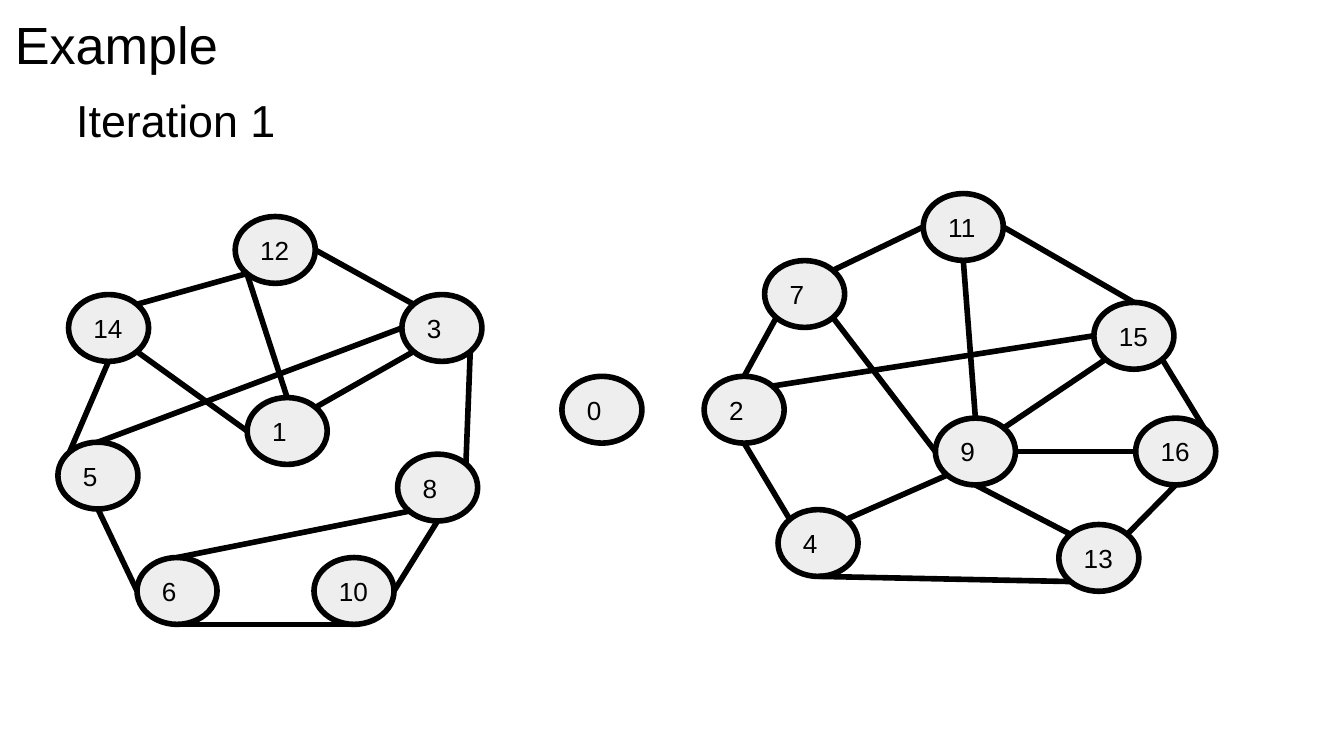
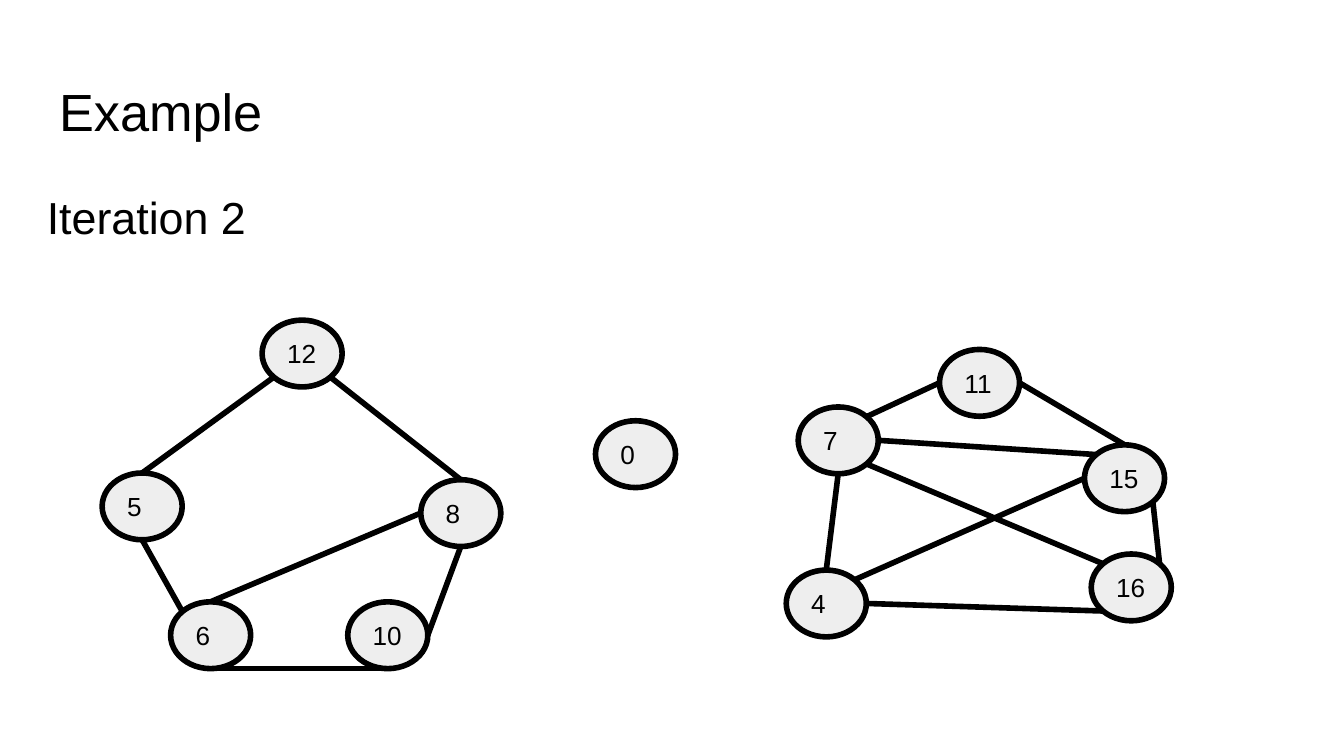
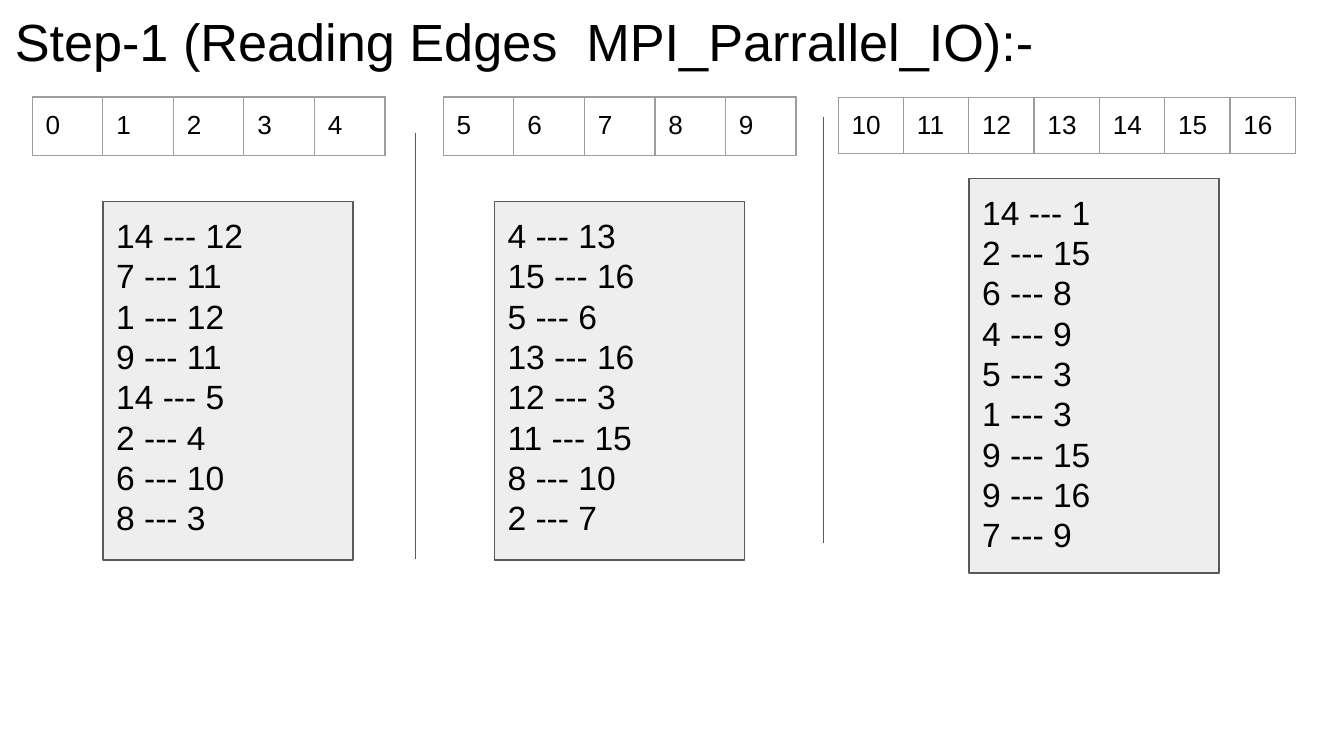
from dataclasses import dataclass
from math import sqrt

from lxml import etree
from pptx import Presentation
from pptx.dml.color import RGBColor
from pptx.enum.shapes import MSO_CONNECTOR, MSO_SHAPE
from pptx.enum.text import MSO_ANCHOR as Anchor, MSO_AUTO_SIZE, PP_ALIGN
from pptx.oxml.ns import qn
from pptx.util import Pt


@dataclass(frozen=True)
class Theme:
    font: str = "Arial"
    ink: RGBColor = RGBColor(0, 0, 0)
    panel: RGBColor = RGBColor(0xEE, 0xEE, 0xEE)
    rule: RGBColor = RGBColor(0x59, 0x59, 0x59)
    grid: str = "9E9E9E"
    title: int = 28
    subtitle: int = 24
    edge_list: int = 18
    label: int = 14
    inset: float = 7.2
    thick: float = 3
    thin: float = 0.75


theme = Theme()
NODE_W, NODE_H = 42.9, 35.8
DIAGONAL = sqrt(0.5)
SITES = {  # where an edge meets a node, as fractions of its radii
    "T": (0, -1), "B": (0, 1), "L": (-1, 0), "R": (1, 0),
    "TL": (-DIAGONAL, -DIAGONAL), "TR": (DIAGONAL, -DIAGONAL),
    "BL": (-DIAGONAL, DIAGONAL), "BR": (DIAGONAL, DIAGONAL),
}


def write_lines(frame, lines, size, anchor=Anchor.TOP):
    frame.word_wrap = True
    frame.auto_size = MSO_AUTO_SIZE.NONE
    frame.vertical_anchor = anchor
    frame.margin_left = frame.margin_right = Pt(theme.inset)
    frame.margin_top = frame.margin_bottom = Pt(theme.inset)
    for number, line in enumerate(lines):
        paragraph = frame.add_paragraph() if number else frame.paragraphs[0]
        paragraph.alignment = PP_ALIGN.LEFT
        run = paragraph.add_run()
        run.text = line
        run.font.name = theme.font
        run.font.size = Pt(size)
        run.font.color.rgb = theme.ink


def draw_line(slide, start, end, color, width):
    line = slide.shapes.add_connector(
        MSO_CONNECTOR.STRAIGHT, *(Pt(value) for value in (*start, *end)))
    line.line.color.rgb = color
    line.line.width = Pt(width)
    etree.SubElement(line._element.spPr, qn("a:effectLst"))


prs = Presentation()
prs.slide_width, prs.slide_height = Pt(720), Pt(405)

# Slide titles: text, left, top, width, height
titles = [
    ("Example", 0.7, -0.7, 671, 45.4),
    ("Example", 24.5, 35.3, 671, 45.4),
    ("Step-1 (Reading Edges  MPI_Parrallel_IO):-", 0.7, -2.2, 681, 40.3),
]
slides = []
for text, *box in titles:
    slide = prs.slides.add_slide(prs.slide_layouts[5])
    title = slide.shapes.title
    title.left, title.top, title.width, title.height = (Pt(v) for v in box)
    write_lines(title.text_frame, [text], theme.title)
    slides.append(slide)

# Graph iterations: subtitle, its position, node positions, edges
iterations = [
    ("Iteration 1", (33.8, 38.2), {
        12: (126, 116), 14: (36.7, 157.8), 3: (215.3, 157.8),
        1: (132.4, 213), 8: (213, 243.3), 5: (31, 236.9),
        6: (73.4, 298.7), 10: (168.2, 298.7), 0: (301, 201.6),
        11: (494.6, 103.7), 7: (409.6, 139.6), 15: (586, 162),
        2: (377.2, 201.6), 4: (416.8, 273), 16: (608.4, 224),
        9: (501.1, 224), 13: (567.2, 281),
    }, [
        "12 BL 14 TR", "12 BL 1 T", "3 BR 8 TR", "8 B 10 R", "10 B 6 B",
        "6 L 5 B", "14 BR 1 L", "1 TR 3 BL", "3 L 5 T", "8 BL 6 T",
        "11 L 7 TR", "11 R 15 T", "15 BR 16 TR", "16 B 13 TR", "2 B 4 TL",
        "7 BL 2 T", "2 TR 15 L", "9 BL 4 TR", "9 B 13 TL", "4 B 13 BL",
        "9 R 16 L", "11 B 9 T", "15 BL 9 TR", "9 L 7 BR", "5 TL 14 B",
        "3 TL 12 R",
    ]),
    ("Iteration 2", (18, 90), {
        8: (225.4, 257), 5: (54.7, 253.4), 6: (91.4, 322.4),
        10: (186.3, 322.4), 0: (319, 225.4), 11: (503.3, 187.2),
        7: (427.6, 218), 15: (581, 238.3), 4: (421.2, 305.4),
        16: (584.6, 296.8), 12: (140.4, 171.5),
    }, [
        "8 B 10 R", "10 B 6 B", "6 TL 5 B", "8 L 6 T", "11 L 7 TR",
        "11 R 15 T", "15 BR 16 TR", "8 T 12 BR", "5 T 12 BL", "4 TR 15 L",
        "7 BR 16 TL", "4 T 7 B", "4 R 16 BL", "7 R 15 TL",
    ]),
]
for slide, (subtitle, (left, top), nodes, edges) in zip(slides, iterations):
    heading = slide.shapes.add_textbox(Pt(left), Pt(top), Pt(165.6), Pt(51.1))
    write_lines(heading.text_frame, [subtitle], theme.subtitle)
    heading.text_frame.paragraphs[0].line_spacing = 1.15
    heading.text_frame.paragraphs[0].space_after = Pt(16)

    for vertex, (x, y) in nodes.items():
        node = slide.shapes.add_shape(
            MSO_SHAPE.OVAL, Pt(x), Pt(y), Pt(NODE_W), Pt(NODE_H))
        node.shadow.inherit = False
        node.fill.solid()
        node.fill.fore_color.rgb = theme.panel
        node.line.color.rgb = theme.ink
        node.line.width = Pt(theme.thick)
        write_lines(node.text_frame, [str(vertex)], theme.label, Anchor.MIDDLE)

    for edge in edges:
        source, source_site, target, target_site = edge.split()
        ends = []
        for vertex, site in ((source, source_site), (target, target_site)):
            x, y = nodes[int(vertex)]
            dx, dy = SITES[site]
            ends.append((x + NODE_W / 2 * (1 + dx), y + NODE_H / 2 * (1 + dy)))
        draw_line(slide, *ends, theme.ink, theme.thick)

# Vertices and edges read by each process
reading = slides[2]
for x, y in ((222.7, 71.3), (441.2, 62.7)):
    draw_line(reading, (x, y), (x, y + 228.4), theme.rule, theme.thin)

# Vertices, table left, top, column width, row height, list box, edges
processes = [
    (range(0, 5), 17.3, 52, 37.8, 31.2, (55.1, 108, 134, 192),
     ["14 --- 12", "7 --- 11", "1 --- 12", "9 --- 11",
      "14 --- 5", "2 --- 4", "6 --- 10", "8 --- 3"]),
    (range(5, 10), 237.5, 52, 37.8, 31.2, (264.8, 108, 134, 192),
     ["4 --- 13", "15 --- 16", "5 --- 6", "13 --- 16",
      "12 --- 3", "11 --- 15", "8 --- 10", "2 --- 7"]),
    (range(10, 17), 449, 52.2, 35, 30.2, (519.1, 95.5, 134, 211.5),
     ["14 --- 1", "2 --- 15", "6 --- 8", "4 --- 9", "5 --- 3",
      "1 --- 3", "9 --- 15", "9 --- 16", "7 --- 9"]),
]
for vertices, left, top, col_width, row_height, box, edges in processes:
    count = len(vertices)
    table = reading.shapes.add_table(
        1, count, Pt(left), Pt(top), Pt(col_width * count), Pt(row_height)).table
    table.first_row = table.horz_banding = False
    for column, vertex in enumerate(vertices):
        table.columns[column].width = Pt(col_width)
        cell = table.cell(0, column)
        cell.margin_left = cell.margin_right = Pt(theme.inset)
        cell.margin_top = cell.margin_bottom = Pt(theme.inset)
        run = cell.text_frame.paragraphs[0].add_run()
        run.text = str(vertex)
        run.font.name = theme.font
        run.font.size = Pt(theme.label)
        run.font.color.rgb = theme.ink
        properties = cell._tc.get_or_add_tcPr()
        for side in ("lnL", "lnR", "lnT", "lnB"):
            border = etree.SubElement(
                properties, qn(f"a:{side}"), w=str(Pt(theme.thin)))
            fill = etree.SubElement(border, qn("a:solidFill"))
            etree.SubElement(fill, qn("a:srgbClr"), val=theme.grid)
        cell.fill.background()

    edge_box = reading.shapes.add_shape(
        MSO_SHAPE.RECTANGLE, *(Pt(value) for value in box))
    edge_box.shadow.inherit = False
    edge_box.fill.solid()
    edge_box.fill.fore_color.rgb = theme.panel
    edge_box.line.color.rgb = theme.rule
    edge_box.line.width = Pt(theme.thin)
    write_lines(edge_box.text_frame, edges, theme.edge_list)

prs.save("out.pptx")
